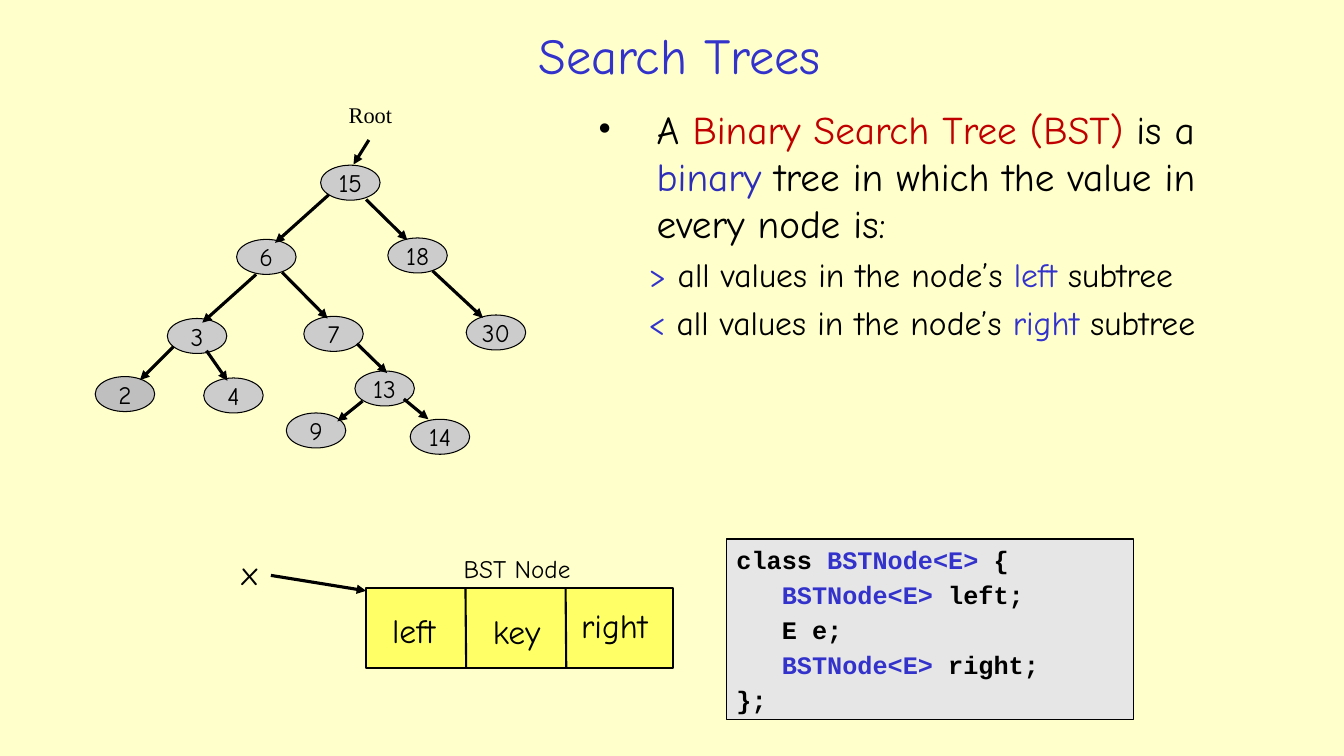
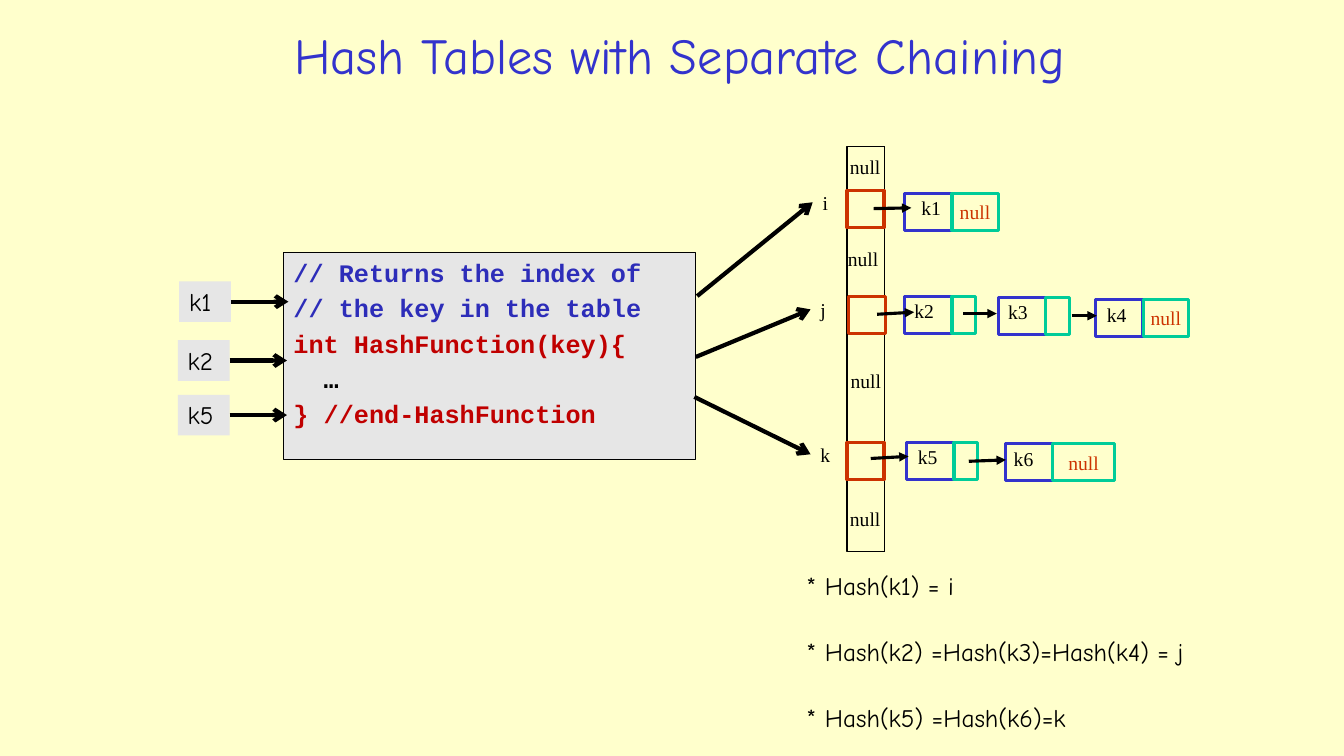
from lxml.etree import SubElement
from pptx import Presentation
from pptx.dml.color import RGBColor
from pptx.enum.dml import MSO_LINE
from pptx.enum.shapes import MSO_CONNECTOR, MSO_SHAPE
from pptx.enum.text import MSO_ANCHOR, PP_ALIGN
from pptx.oxml.ns import qn
from pptx.util import Pt

COLORS = {
    "page": "FFFFCC", "black": "000000", "blue": "3333CC", "navy": "2D2DB9",
    "crimson": "C00000", "red": "CC3300", "green": "00CC99", "node": "CCCCCC",
    "dark_node": "BFBFBF", "code": "E6E6E6", "record": "FFFF66",
}
HAND, SERIF, MONO = "Comic Neue", "Times New Roman", "Courier New"
NODE_W, NODE_H = 42.5, 25
CELL, KEY_W, LINK_W = 26.5, 34, 17

TREE_NODES = [
    ("15", 229, 118), ("6", 169, 171), ("18", 277, 170), ("30", 333, 225),
    ("3", 119.5, 227.5), ("7", 217, 226), ("2", 68, 269), ("4", 145.5, 270),
    ("13", 253.5, 265), ("9", 204.5, 295), ("14", 293, 299.5),
]
TREE_ARROWS = [
    (263.5, 100, 252.5, 117.5), (235, 139, 196.5, 173.5),
    (261.5, 142.5, 291, 171.5), (309, 193.5, 345, 227),
    (183, 196, 144.5, 230.5), (201.5, 194.5, 234, 227.5),
    (124, 247.5, 100, 271.5), (147.5, 250.5, 162.5, 272),
    (255, 245.5, 276.5, 266.5), (259, 286.5, 241, 301),
    (288.5, 285, 306, 299.5),
]
BST_TEXT = [
    [("A ", "black"), ("Binary Search Tree (BST)", "crimson"),
     (" is a ", "black"), ("binary", "navy"),
     (" tree in which the value in every node is:", "black")],
    [(">", "blue"), (" all values in the node’s ", "black"),
     ("left", "blue"), (" subtree", "black")],
    [("< ", "blue"), ("all values in the node’s ", "black"),
     ("right", "blue"), (" subtree", "black")],
]
BST_CODE = [
    [("class ", "black"), ("BSTNode<E> ", "blue"), ("{", "black")],
    [("   BSTNode<E>", "blue"), (" left;", "black")],
    [("   E e;", "black")],
    [("   BSTNode<E>", "blue"), (" right;", "black")],
    [("};", "black")],
]
HASH_CODE = [
    [("// Returns the index of", "navy")],
    [("// the key in the table", "navy")],
    [("int HashFunction(key){", "crimson")],
    [("  …", "black")],
    [("} //end-HashFunction", "crimson")],
]
HASH_NOTES = [
    [("* Hash(k1) = i", "black")],
    [("* Hash(k2) =Hash(k3)=Hash(k4) = j", "black")],
    [("* Hash(k5) =Hash(k6)=k", "black")],
]
# key, left, top, label left, link width, ends the chain
CHAIN_NODES = [
    ("k1", 646, 138, 651, 33, True),
    ("k2", 646, 211.5, 646, LINK_W, False),
    ("k3", 713, 212.5, 713, LINK_W, False),
    ("k4", 782.5, 214, 783.5, 32.5, True),
    ("k5", 647.5, 316, 648.5, LINK_W, False),
    ("k6", 718, 317, 717, 44, True),
]
CHAIN_ARROWS = [
    (624, 149, 651, 148.5), (626.5, 224.5, 653, 223), (622, 327.5, 649, 326),
    (688, 224, 712, 224), (765.5, 225.5, 783.5, 225.5),
    (692, 329.5, 718.5, 328.5),
]
HASH_ARROWS = [
    (498, 211.5, 580.5, 144.5), (497, 255, 579, 221), (496, 283.5, 579, 324.5),
]


def rgb(name):
    return RGBColor.from_string(COLORS[name])


def style(font, face, size, color, bold=False):
    font.name, font.size, font.bold = face, Pt(size), bold
    font.color.rgb = rgb(color)


def text_box(s, x, y, w, h):
    tf = s.shapes.add_textbox(Pt(x), Pt(y), Pt(w), Pt(h)).text_frame
    tf.word_wrap = True
    return tf


def put_text(tf, text, size, face=HAND, color="black"):
    tf.text = text
    style(tf.paragraphs[0].runs[0].font, face, size, color)


def center(tf):
    tf.vertical_anchor = MSO_ANCHOR.MIDDLE
    tf.paragraphs[0].alignment = PP_ALIGN.CENTER


def label(s, text, x, y, w, h, size=14, face=SERIF):
    tf = text_box(s, x, y, w, h)
    tf.word_wrap = False
    put_text(tf, text, size, face)


def add_runs(p, runs, size, face=HAND, bold=False):
    for text, color in runs:
        r = p.add_run()
        r.text = text
        style(r.font, face, size, color, bold)


def paragraphs(tf, count):
    """Return the frame's paragraphs, adding what is missing."""
    while len(tf.paragraphs) < count:
        tf.add_paragraph()
    return tf.paragraphs


def box(s, x, y, w, h, fill=None, line="black", width=0.75,
        kind=MSO_SHAPE.RECTANGLE):
    sp = s.shapes.add_shape(kind, Pt(x), Pt(y), Pt(w), Pt(h))
    sp.shadow.inherit = False
    if fill:
        sp.fill.solid()
        sp.fill.fore_color.rgb = rgb(fill)
    else:
        sp.fill.background()
    if line:
        sp.line.color.rgb = rgb(line)
        sp.line.width = Pt(width)
    else:
        sp.line.fill.background()
    return sp


def line(s, x1, y1, x2, y2, width=2.25, head=None, dash=None):
    cn = s.shapes.add_connector(
        MSO_CONNECTOR.STRAIGHT, Pt(x1), Pt(y1), Pt(x2), Pt(y2))
    cn.line.color.rgb = rgb("black")
    cn.line.width = Pt(width)
    if dash:
        cn.line.dash_style = dash
    sp_pr = cn._element.spPr
    if head:
        SubElement(sp_pr.find(qn("a:ln")), qn("a:tailEnd"), type=head)
    SubElement(sp_pr, qn("a:effectLst"))


def arrows(s, ends, width=2.25, head="triangle"):
    for points in ends:
        line(s, *points, width, head)


def code_box(s, rows, x, y, w, h):
    tf = box(s, x, y, w, h, "code").text_frame
    tf.word_wrap = True
    tf.vertical_anchor = MSO_ANCHOR.TOP
    for i, (p, runs) in enumerate(zip(paragraphs(tf, len(rows)), rows)):
        p.alignment = PP_ALIGN.LEFT
        if i:
            p.space_before = Pt(3.5)
        add_runs(p, runs, 18, MONO, True)


def tree_node(s, text, x, y):
    fill = "dark_node" if text == "2" else "node"
    tf = box(s, x, y, NODE_W, NODE_H, fill, kind=MSO_SHAPE.OVAL).text_frame
    tf.word_wrap = False
    put_text(tf, text, 18)
    center(tf)


def chain_node(s, key, x, y, label_x, link_w, is_last):
    box(s, x, y, KEY_W, CELL, line="blue", width=2.25)
    link = box(s, x + KEY_W, y, link_w, CELL, line="green", width=2.25)
    if is_last:
        tf = link.text_frame
        tf.word_wrap = False
        put_text(tf, "null", 14, SERIF, "red")
        center(tf)
    label(s, key, label_x, y - 1.5, 29, 24.5)


def hash_key(s, key, x, y):
    """A key with its arrow into the hash function."""
    tf = box(s, x, y, 37, 29, "code", None).text_frame
    put_text(tf, key, 18)
    tf.word_wrap = True
    tf.vertical_anchor = MSO_ANCHOR.TOP
    tf.paragraphs[0].alignment = PP_ALIGN.LEFT
    line(s, x + 37, y + 14.5, x + 78, y + 14.5, 3, "arrow")


def bst_definition(s):
    tf = text_box(s, 420, 71.5, 507, 282)
    for i, (p, runs) in enumerate(zip(paragraphs(tf, 3), BST_TEXT)):
        p_pr = p._p.get_or_add_pPr()
        margin, indent = (72, -36) if i else (42, -42)
        p_pr.set("marL", str(Pt(margin)))
        p_pr.set("indent", str(Pt(indent)))
        if i:
            p.space_before = Pt(5.5)
        else:
            SubElement(p_pr, qn("a:buFont"), typeface=SERIF)
            SubElement(p_pr, qn("a:buChar"), char="•")
        add_runs(p, runs, 24 if i else 28)


def bst_record(s):
    box(s, 261.5, 420, 219, 57.5, "record", width=1.5)
    for x in (332.5, 404):
        line(s, x, 420.5, x + 0.5, 477.5, 1.5)
    for text, x, y, w in (("left", 273, 432, 58), ("key", 345, 433, 53),
                          ("right", 408, 428.5, 71), ("x", 165.5, 391, 29)):
        label(s, text, x, y, w, 37, 24, HAND)
    label(s, "BST Node", 324, 391.5, 104, 29, 18, HAND)
    line(s, 193.5, 411, 261.5, 422, head="triangle")


def hash_table(s):
    box(s, 605, 104.5, 26.5, 289.5)
    line(s, 631.5, 104.5, 631.5, 394.5, 0.75, dash=MSO_LINE.ROUND_DOT)
    for x, y in ((605, 136), (606, 211.5), (605, 316)):
        box(s, x, y, CELL, CELL, line="red", width=2.25)
    for x, y in ((600, 107), (598.5, 173), (600.5, 260), (600, 358.5)):
        label(s, "null", x, y, 36.5, 24.5)
    for text, x, y, w in (("i", 580.5, 132.5, 19), ("j", 579, 209, 19),
                          ("k", 579, 312.5, 21.5)):
        label(s, text, x, y, w, 24.5)
    for node in CHAIN_NODES:
        chain_node(s, *node)
    arrows(s, CHAIN_ARROWS)


def hash_notes(s):
    tf = text_box(s, 569, 406.5, 333, 118)
    for i, (p, runs) in enumerate(zip(paragraphs(tf, 3), HASH_NOTES)):
        p.line_spacing = 0.9
        if i:
            p.space_before = Pt(27.5)
        add_runs(p, runs, 18)


def titled_slide(prs, title):
    s = prs.slides.add_slide(prs.slide_layouts[6])
    tf = text_box(s, 142, 11, 687, 55)
    put_text(tf, title, 36, color="blue")
    center(tf)
    return s


def search_trees(prs):
    s = titled_slide(prs, "Search Trees")
    label(s, "Root", 242, 69, 47.5, 26.5, 16)
    for node in TREE_NODES:
        tree_node(s, *node)
    arrows(s, TREE_ARROWS)
    bst_definition(s)
    bst_record(s)
    code_box(s, BST_CODE, 519, 385, 291, 129)


def hash_tables(prs):
    s = titled_slide(prs, "Hash Tables with Separate Chaining")
    hash_table(s)
    hash_notes(s)
    code_box(s, HASH_CODE, 202.5, 180.5, 294.5, 147.5)
    for key, x, y in (("k1", 128, 201), ("k2", 127, 243), ("k5", 127, 282)):
        hash_key(s, key, x, y)
    arrows(s, HASH_ARROWS, 3, "arrow")


def main():
    prs = Presentation()
    prs.slide_width, prs.slide_height = Pt(960), Pt(540)
    fill = prs.slide_master.background.fill
    fill.solid()
    fill.fore_color.rgb = rgb("page")
    search_trees(prs)
    hash_tables(prs)
    prs.save("out.pptx")


if __name__ == "__main__":
    main()
